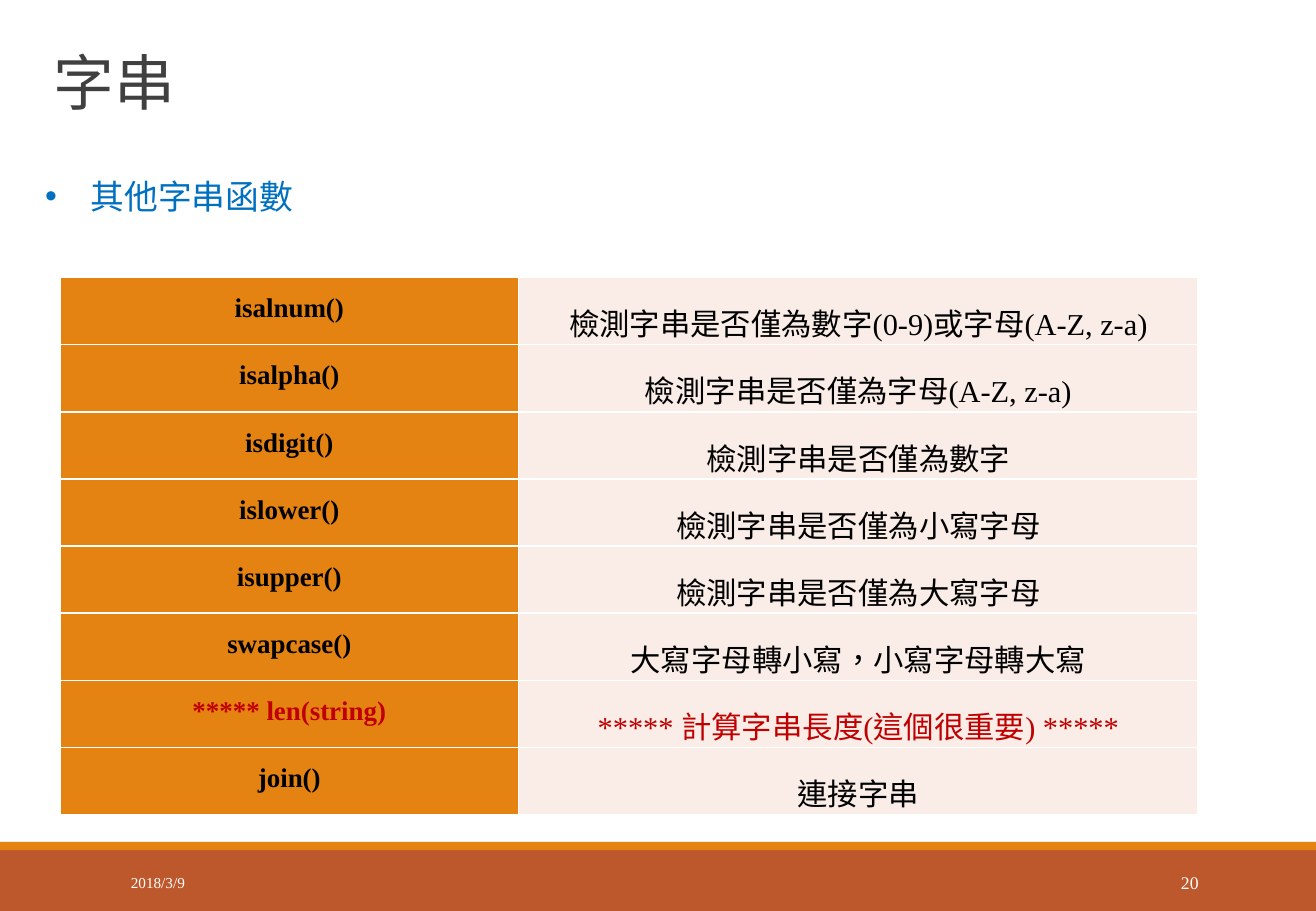
import dataclasses

import lxml.etree
import pptx
import pptx.dml.color
import pptx.enum.lang
import pptx.enum.shapes
import pptx.enum.text
import pptx.oxml.ns
import pptx.util

Pt = pptx.util.Pt
Align = pptx.enum.text.PP_ALIGN
Anchor = pptx.enum.text.MSO_ANCHOR

FONT = "Times New Roman"
COLOURS = {
    "title": "404040",
    "subtitle": "0070C0",
    "black": "000000",
    "white": "FFFFFF",
    "important": "C00000",
    "orange": "E48312",
    "rust": "BD582C",
    "pale": "FAEDE7",
}
SLIDE_WIDTH, SLIDE_HEIGHT = 780, 540
COLUMN_WIDTHS = (272, 402.5)
ROW_HEIGHT = 39.8


@dataclasses.dataclass(frozen=True)
class Box:
    left: float
    top: float
    width: float
    height: float

    def lengths(self) -> tuple:
        return tuple(Pt(length) for length in dataclasses.astuple(self))


@dataclasses.dataclass(frozen=True)
class TextStyle:
    size: float
    colour: str
    align: Align = Align.LEFT
    bold: bool = False
    line_spacing: float = 1.0
    space_after: float = 0


@dataclasses.dataclass(frozen=True)
class StringFunction:
    name: str
    description: str
    colour: str = "black"


@dataclasses.dataclass(frozen=True)
class Band:
    box: Box
    colour: str


@dataclasses.dataclass(frozen=True)
class FooterText:
    text: str
    box: Box
    style: TextStyle


STRING_FUNCTIONS = (
    StringFunction("isalnum()", "檢測字串是否僅為數字(0-9)或字母(A-Z, z-a)"),
    StringFunction("isalpha()", "檢測字串是否僅為字母(A-Z, z-a)"),
    StringFunction("isdigit()", "檢測字串是否僅為數字"),
    StringFunction("islower()", "檢測字串是否僅為小寫字母"),
    StringFunction("isupper()", "檢測字串是否僅為大寫字母"),
    StringFunction("swapcase()", "大寫字母轉小寫，小寫字母轉大寫"),
    StringFunction("***** len(string)", "***** 計算字串長度(這個很重要) *****", "important"),
    StringFunction("join()", "連接字串"),
)
BANDS = (
    Band(Box(0, 504, SLIDE_WIDTH, 36), "rust"),
    Band(Box(0, 499, SLIDE_WIDTH, 5), "orange"),
)
FOOTER_TEXTS = (
    FooterText("2018/3/9", Box(70.5, 508.5, 158.5, 28.8), TextStyle(9, "white")),
    FooterText("20", Box(633.5, 508.5, 84, 28.8), TextStyle(10.5, "white", Align.RIGHT)),
)


def colour_of(name: str) -> pptx.dml.color.RGBColor:
    return pptx.dml.color.RGBColor.from_string(COLOURS[name])


def write_text(text_frame, text: str, style: TextStyle) -> None:
    text_frame.text = text
    paragraph = text_frame.paragraphs[0]
    paragraph.alignment = style.align
    paragraph.line_spacing = style.line_spacing
    paragraph.space_before = Pt(0)
    paragraph.space_after = Pt(style.space_after)
    font = paragraph.font
    font.name = FONT
    font.size = Pt(style.size)
    font.bold = style.bold
    font.color.rgb = colour_of(style.colour)
    font.language_id = pptx.enum.lang.MSO_LANGUAGE_ID.TRADITIONAL_CHINESE


def fill_placeholder(shape, box: Box, text: str, style: TextStyle, anchor: Anchor) -> None:
    shape.left, shape.top, shape.width, shape.height = box.lengths()
    text_frame = shape.text_frame
    text_frame.auto_size = pptx.enum.text.MSO_AUTO_SIZE.NONE
    text_frame.vertical_anchor = anchor
    write_text(text_frame, text, style)


def remove_bullet(paragraph) -> None:
    properties = paragraph._p.get_or_add_pPr()
    properties.set("marL", "0")
    properties.set("indent", "0")
    lxml.etree.SubElement(properties, pptx.oxml.ns.qn("a:buNone"))


def add_band(slide, band: Band) -> None:
    shape = slide.shapes.add_shape(
        pptx.enum.shapes.MSO_SHAPE.RECTANGLE, *band.box.lengths()
    )
    shape.shadow.inherit = False
    shape.fill.solid()
    shape.fill.fore_color.rgb = colour_of(band.colour)
    shape.line.fill.background()


def add_footer_text(slide, footer: FooterText) -> None:
    text_frame = slide.shapes.add_textbox(*footer.box.lengths()).text_frame
    text_frame.word_wrap = True
    text_frame.vertical_anchor = Anchor.MIDDLE
    write_text(text_frame, footer.text, footer.style)


def add_cell_borders(cell) -> None:
    qn = pptx.oxml.ns.qn
    properties = cell._tc.get_or_add_tcPr()
    for side in ("L", "R", "T", "B"):
        line = lxml.etree.SubElement(properties, qn(f"a:ln{side}"), w=str(Pt(1)))
        fill = lxml.etree.SubElement(line, qn("a:solidFill"))
        lxml.etree.SubElement(fill, qn("a:srgbClr"), val=COLOURS["white"])


def format_cell(cell, text: str, fill: str, style: TextStyle) -> None:
    add_cell_borders(cell)
    cell.fill.solid()
    cell.fill.fore_color.rgb = colour_of(fill)
    cell.margin_left = cell.margin_right = Pt(5)
    cell.margin_top, cell.margin_bottom = Pt(0.7), Pt(0)
    write_text(cell.text_frame, text, style)


def add_function_table(slide) -> None:
    box = Box(35.5, 164.5, sum(COLUMN_WIDTHS), ROW_HEIGHT * len(STRING_FUNCTIONS))
    table = slide.shapes.add_table(
        len(STRING_FUNCTIONS), len(COLUMN_WIDTHS), *box.lengths()
    ).table
    table.first_row = table.horz_banding = False
    for column, width in zip(table.columns, COLUMN_WIDTHS):
        column.width = Pt(width)
    for row, function in zip(table.rows, STRING_FUNCTIONS):
        row.height = Pt(ROW_HEIGHT)
        name_style = TextStyle(16, function.colour, Align.CENTER, True, 1.5, 8)
        description_style = dataclasses.replace(name_style, size=18, bold=False)
        name_cell, description_cell = row.cells
        format_cell(name_cell, function.name, "orange", name_style)
        format_cell(description_cell, function.description, "pale", description_style)


def main() -> None:
    presentation = pptx.Presentation()
    presentation.slide_width = Pt(SLIDE_WIDTH)
    presentation.slide_height = Pt(SLIDE_HEIGHT)
    slide = presentation.slides.add_slide(presentation.slide_layouts[1])
    title, body = slide.placeholders
    for band in BANDS:
        add_band(slide, band)
    for footer in FOOTER_TEXTS:
        add_footer_text(slide, footer)
    fill_placeholder(title, Box(24.5, 24.5, 643.5, 49), "字串",
                     TextStyle(36, "title", line_spacing=0.85), Anchor.BOTTOM)
    remove_bullet(body.text_frame.paragraphs[0])
    fill_placeholder(body, Box(19.5, 103, 690.5, 40), "其他字串函數",
                     TextStyle(20, "subtitle", line_spacing=0.9), Anchor.TOP)
    add_function_table(slide)
    presentation.save("out.pptx")


if __name__ == "__main__":
    main()
